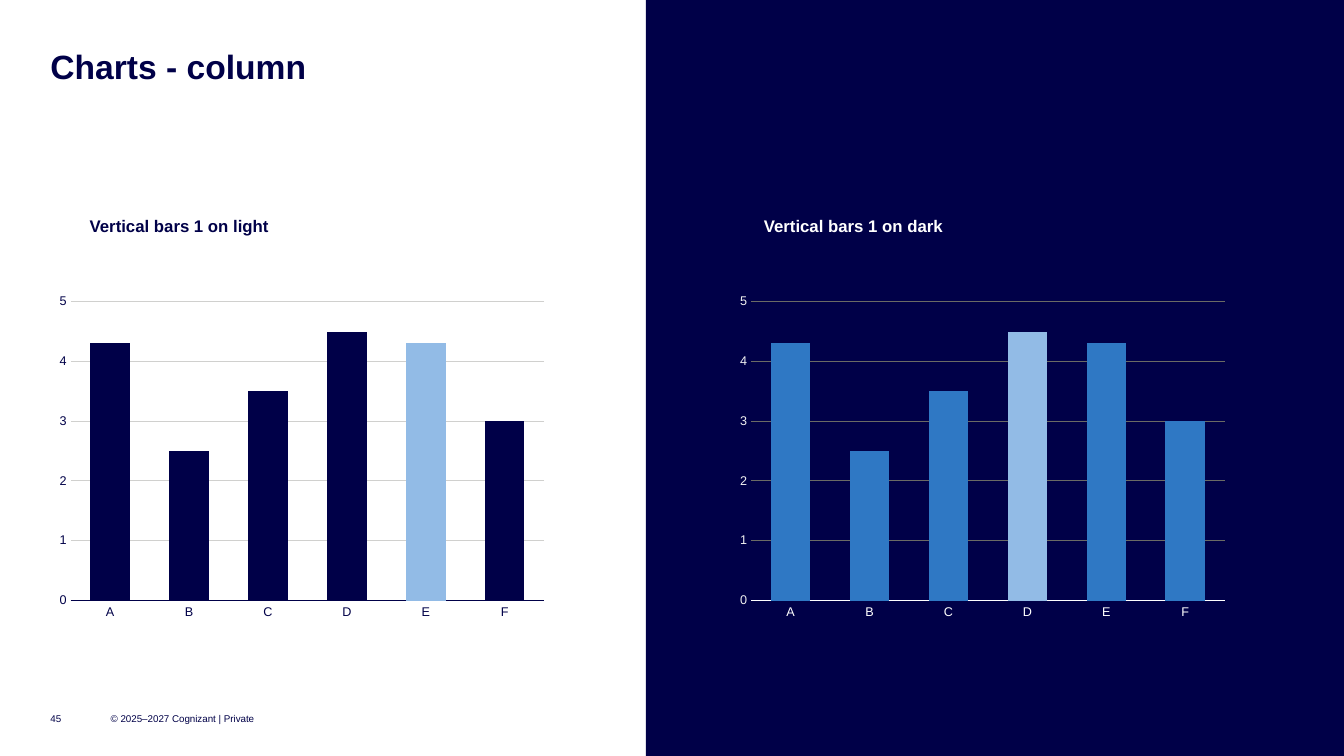
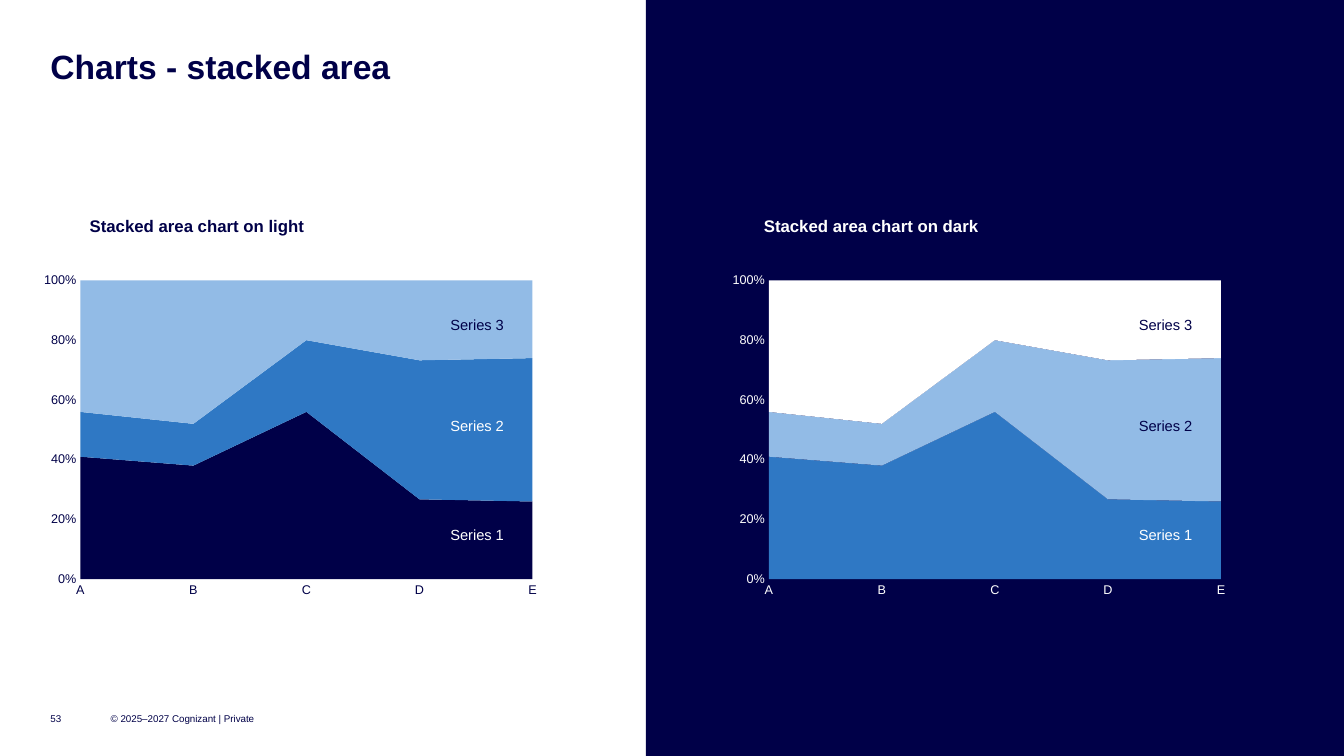
from dataclasses import dataclass

from lxml import etree
from pptx import Presentation
from pptx import util as u
from pptx.chart import data
from pptx.dml import color
from pptx.enum import chart as kinds
from pptx.enum import shapes, text
from pptx.oxml import ns


@dataclass(frozen=True)
class Theme:
    """Colours and type sizes of the deck."""
    font: str = "Arial"
    navy: str = "000048"
    blue: str = "2F78C4"
    sky: str = "92BBE6"
    white: str = "FFFFFF"
    mist: str = "F2F2F2"
    pale: str = "D0D0CE"
    grey: str = "6A6A65"
    title: float = 24
    head: float = 12
    label: float = 10.5
    base: float = 10
    axis: float = 9
    foot: float = 7


T = Theme()
WIDE, HIGH, SPLIT = 33.87, 19.05, 16.28
MARGIN = 1.27
LIGHT_X, DARK_X = 2.26, 19.25
HEAD_Y = 5.44


def place(box):
    """Turn a box in centimetres into lengths."""
    return [u.Cm(n) for n in box]


def put(item, values):
    """Set attributes from a dict of format values."""
    for name, value in values.items():
        setattr(item, name, value)


def style(font, size, ink, bold=False):
    """Give a font the deck's face, a size and a colour."""
    put(font, {"name": T.font, "size": u.Pt(size), "bold": bold})
    font.color.rgb = color.RGBColor.from_string(ink)


def paint(form, tone):
    """Fill a shape or a chart part with one colour."""
    form.fill.solid()
    form.fill.fore_color.rgb = color.RGBColor.from_string(tone)


def rule(line, tone=None):
    """Draw a thin line in a colour, or hide it."""
    if tone is None:
        line.fill.background()
    else:
        line.color.rgb = color.RGBColor.from_string(tone)
        line.width = u.Pt(0.75)


def fill(frame, words, size, ink, bold=False, mid=False):
    """Write one left-aligned line into a text frame without insets."""
    put(frame, {
        "text": words,
        "word_wrap": True,
        "auto_size": text.MSO_AUTO_SIZE.NONE if mid
        else text.MSO_AUTO_SIZE.SHAPE_TO_FIT_TEXT,
        "vertical_anchor": text.MSO_ANCHOR.MIDDLE if mid
        else text.MSO_ANCHOR.TOP,
        **{f"margin_{side}": 0 for side in ("left", "top", "right", "bottom")},
    })
    line = frame.paragraphs[0]
    line.alignment = text.PP_ALIGN.LEFT
    style(line.runs[0].font, size, ink, bold)
    return line


def write(page, box, *words, **look):
    """Add a text box at a box in centimetres."""
    fill(page.shapes.add_textbox(*place(box)).text_frame, *words, **look)


def start(deck, title, number):
    """Add a slide with its dark half, title and footer."""
    page = deck.slides.add_slide(deck.slide_layouts[5])
    half = place((SPLIT, 0, WIDE - SPLIT, HIGH))
    band = page.shapes.add_shape(shapes.MSO_SHAPE.RECTANGLE, *half)
    band.shadow.inherit = False
    paint(band, T.navy)
    rule(band.line)
    head = page.shapes.title
    head.element.addprevious(band.element)
    spot = place((MARGIN, MARGIN, 31.32, 0.91))
    put(head, dict(zip(("left", "top", "width", "height"), spot)))
    fill(head.text_frame, title, T.title, T.navy, bold=True).line_spacing = 0.9
    foot = ((MARGIN, 1.02, number),
            (2.79, 3.81, "© 2025–2027 Cognizant | Private"))
    for left, width, words in foot:
        write(page, (left, 17.78, width, 0.64), words, T.foot, T.navy, mid=True)
    return page


def heads(page, words):
    """Head the light and the dark half."""
    for left, side, ink in ((LIGHT_X, "light", T.navy), (DARK_X, "dark", T.white)):
        write(page, (left, HEAD_Y, 6.55, 0.51), f"{words} on {side}",
              T.head, ink, bold=True)


def frame(chart, inner):
    """Fix the inner plot area as shares of the chart."""
    plot = chart.element.find(".//" + ns.qn("c:plotArea"))
    for old in plot.findall(ns.qn("c:layout")):
        plot.remove(old)
    outer = etree.Element(ns.qn("c:layout"))
    plot.insert(0, outer)
    spot = etree.SubElement(outer, ns.qn("c:manualLayout"))
    pairs = [("layoutTarget", "inner"), ("xMode", "edge"), ("yMode", "edge")]
    for name, value in pairs + list(zip("xywh", inner)):
        etree.SubElement(spot, ns.qn(f"c:{name}")).set("val", str(value))


def graph(page, box, kind, cats, rows, inks, scale, inner):
    """Add a chart with plain axes and no legend."""
    facts = data.CategoryChartData()
    facts.categories = cats
    for count, row in enumerate(rows, 1):
        facts.add_series(f"Series {count}", row)
    chart = page.shapes.add_chart(kind, *place(box), facts).chart
    put(chart, {"has_legend": False, "has_title": False})
    style(chart.font, T.base, T.navy)
    for axis, ink in zip((chart.category_axis, chart.value_axis), inks):
        put(axis, {"major_tick_mark": kinds.XL_TICK_MARK.NONE,
                   "minor_tick_mark": kinds.XL_TICK_MARK.NONE,
                   "has_major_gridlines": False})
        style(axis.tick_labels.font, T.axis, ink)
        rule(axis.format.line)
    top, step = scale
    put(chart.value_axis, {"minimum_scale": 0, "maximum_scale": top,
                           "major_unit": step})
    frame(chart, inner)
    return chart


def bars(page, box, inks, tone, grid, peak):
    """Draw a column chart with one column picked out."""
    chart = graph(page, box, kinds.XL_CHART_TYPE.COLUMN_CLUSTERED, "ABCDEF",
                  [(4.3, 2.5, 3.5, 4.5, 4.3, 3)], inks, (5, 1),
                  (0.04, 0.04, 0.94, 0.88))
    rule(chart.category_axis.format.line, inks[0])
    chart.value_axis.has_major_gridlines = True
    rule(chart.value_axis.major_gridlines.format.line, grid)
    put(chart.plots[0], {"gap_width": 100, "vary_by_categories": False})
    row = chart.series[0]
    paint(row.format, tone)
    paint(row.points[peak].format, T.sky)


def areas(page, box, ink, tones):
    """Draw a full stacked area chart with a name on each layer."""
    rows = [(41, 38, 56, 27, 26), (15, 14, 24, 47, 48), (44, 48, 20, 27, 26)]
    chart = graph(page, box, kinds.XL_CHART_TYPE.AREA_STACKED_100, "ABCDE",
                  rows, (ink, ink), (1, 0.2), (0.09, 0.04, 0.88, 0.89))
    put(chart.value_axis.tick_labels,
        {"number_format": "0%", "number_format_is_linked": False})
    chart.element.find(".//" + ns.qn("c:crossBetween")).set("val", "midCat")
    left, top = box[:2]
    for row, tone, drop in zip(chart.series, tones, (6.53, 3.78, 1.22)):
        paint(row.format, tone)
        shade = T.white if tone in (T.navy, T.blue) else T.navy
        write(page, (left + 10.49, top + drop, 1.75, 0.46), row.name,
              T.label, shade)


def main():
    """Build and save the deck."""
    deck = Presentation()
    put(deck, {"slide_width": u.Cm(WIDE), "slide_height": u.Cm(HIGH)})

    page = start(deck, "Charts - column", "45")
    heads(page, "Vertical bars 1")
    size = (7.26, 12.7, 8.56)
    bars(page, (MARGIN, *size), (T.navy, T.navy), T.navy, T.pale, 4)
    bars(page, (18.42, *size), (T.white, T.mist), T.blue, T.grey, 3)

    page = start(deck, "Charts - stacked area", "53")
    heads(page, "Stacked area chart")
    size = (6.73, 12.95, 8.46)
    areas(page, (0.86, *size), T.navy, (T.navy, T.blue, T.sky))
    areas(page, (18.21, *size), T.white, (T.blue, T.sky, T.white))

    deck.save("out.pptx")


if __name__ == "__main__":
    main()
